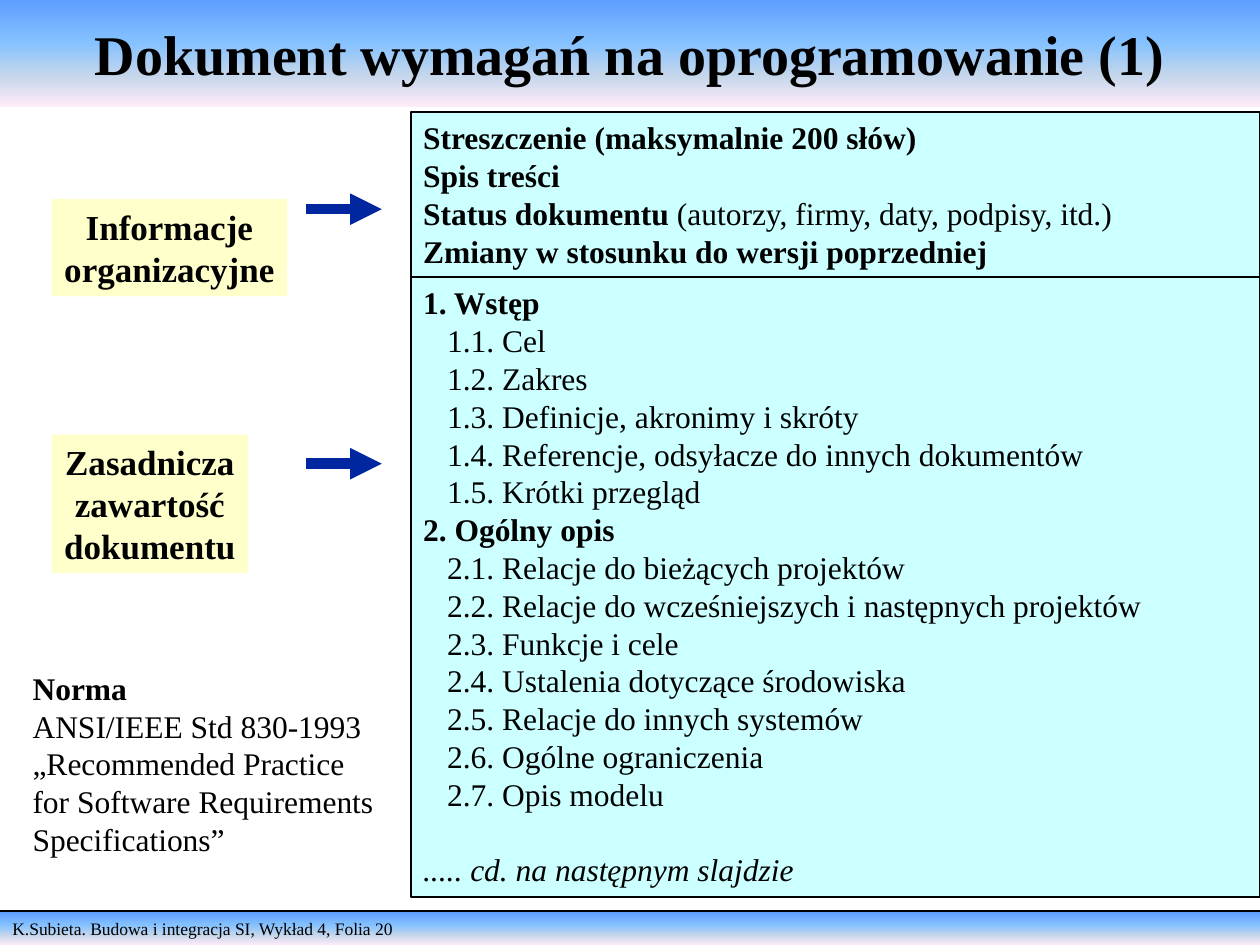
from lxml.etree import SubElement
from pptx import Presentation
from pptx.dml.color import RGBColor
from pptx.enum.shapes import MSO_CONNECTOR, MSO_SHAPE
from pptx.enum.text import MSO_ANCHOR, PP_ALIGN
from pptx.oxml.ns import qn
from pptx.util import Inches, Pt

FONT = "Times New Roman"
COLORS = {"text": "000000", "panel": "CCFFFF", "label": "FFFFCC", "arrow": "00279F"}
GRADIENT = [(0, "5E9EFF"), (40, "85C2FF"), (70, "C4D6EB"), (100, "FFEBFA")]

TITLE = "Dokument wymagań na oprogramowanie (1)"
FOOTER = "K.Subieta. Budowa i integracja SI, Wykład 4, Folia 20"
SUMMARY = [
    ("bold", "Streszczenie (maksymalnie 200 słów)"),
    ("bold", "Spis treści"),
    ("bold", "Status dokumentu ", "(autorzy, firmy, daty, podpisy, itd.)"),
    ("bold", "Zmiany w stosunku do wersji poprzedniej"),
]
CONTENTS = [
    ("bold", "1. Wstęp"),
    ("item", "1.1. Cel"),
    ("item", "1.2. Zakres"),
    ("item", "1.3. Definicje, akronimy i skróty"),
    ("item", "1.4. Referencje, odsyłacze do innych dokumentów"),
    ("item", "1.5. Krótki przegląd"),
    ("bold", "2. Ogólny opis"),
    ("item", "2.1. Relacje do bieżących projektów"),
    ("item", "2.2. Relacje do wcześniejszych i następnych projektów"),
    ("item", "2.3. Funkcje i cele"),
    ("item", "2.4. Ustalenia dotyczące środowiska"),
    ("item", "2.5. Relacje do innych systemów"),
    ("item", "2.6. Ogólne ograniczenia"),
    ("item", "2.7. Opis modelu"),
    ("closing", "..... cd. na następnym slajdzie"),
]
STANDARD = [
    ("bold", "Norma"),
    ("plain", "ANSI/IEEE Std 830-1993"),
    ("plain", "„Recommended Practice for Software Requirements Specifications”"),
]
PANELS = [(0.89, 1.32, SUMMARY), (2.2, 4.92, CONTENTS)]
LABELS = [
    (1.58, 1.87, 0.77, ["Informacje", "organizacyjne"]),
    (3.45, 1.56, 1.1, ["Zasadnicza", "zawartość", "dokumentu"]),
]
ARROW_HEIGHTS = [1.66, 3.68]


def color(name):
    return RGBColor.from_string(COLORS[name])


def write(shape, lines, size, align=PP_ALIGN.LEFT, anchor=MSO_ANCHOR.TOP, wrap=True):
    frame = shape.text_frame
    frame.word_wrap = wrap
    frame.vertical_anchor = anchor
    for index, (style, *parts) in enumerate(lines):
        paragraph = frame.paragraphs[0] if index == 0 else frame.add_paragraph()
        paragraph.alignment = align
        font = paragraph.font
        font.name, font.size = FONT, Pt(size)
        font.color.rgb = color("text")
        font.bold = style == "bold"
        font.italic = style == "closing"
        if style == "item":
            paragraph._p.get_or_add_pPr().set("marL", str(Inches(0.19)))
        if style == "closing":
            paragraph.space_before = Pt(size * 1.2)
        for position, part in enumerate(parts):
            run = paragraph.add_run()
            run.text = part
            if position:
                run.font.bold = False


def add_box(slide, left, top, width, height, fill=None, outlined=False):
    box = slide.shapes.add_shape(
        MSO_SHAPE.RECTANGLE, Inches(left), Inches(top), Inches(width), Inches(height))
    box.shadow.inherit = False
    if fill:
        box.fill.solid()
        box.fill.fore_color.rgb = color(fill)
    if outlined:
        box.line.color.rgb = color("text")
        box.line.width = Pt(1)
    else:
        box.line.fill.background()
    return box


def add_band(slide, top, height):
    band = add_box(slide, 0, top, 10, height)
    band.fill.gradient()
    band.fill.gradient_angle = 270
    stops = band._element.spPr.find(qn("a:gradFill")).find(qn("a:gsLst"))
    for stop in list(stops):
        stops.remove(stop)
    for percent, value in GRADIENT:
        stop = SubElement(stops, qn("a:gs"), pos=str(percent * 1000))
        SubElement(stop, qn("a:srgbClr"), val=value)
    return band


def add_line(slide, left, right, height, name, width):
    line = slide.shapes.add_connector(
        MSO_CONNECTOR.STRAIGHT, Inches(left), Inches(height), Inches(right), Inches(height))
    line.line.color.rgb = color(name)
    line.line.width = Pt(width)
    SubElement(line._element.spPr, qn("a:effectLst"))
    return line


def main():
    presentation = Presentation()
    presentation.slide_width, presentation.slide_height = Inches(10), Inches(7.5)
    slide = presentation.slides.add_slide(presentation.slide_layouts[6])

    write(add_band(slide, 7.24, 0.26), [("plain", FOOTER)], 10)
    add_line(slide, 0, 10, 7.23, "text", 1)
    write(add_band(slide, 0, 0.85), [("bold", TITLE)], 32,
          PP_ALIGN.CENTER, MSO_ANCHOR.MIDDLE)

    for top, height, lines in PANELS:
        write(add_box(slide, 3.26, top, 6.74, height, "panel", True), lines, 18)

    for top, width, height, words in LABELS:
        label = add_box(slide, 0.41, top, width, height, "label")
        write(label, [("bold", word) for word in words], 20, PP_ALIGN.CENTER, wrap=False)

    for height in ARROW_HEIGHTS:
        arrow = add_line(slide, 2.43, 3.03, height, "arrow", 6)
        SubElement(arrow.line._get_or_add_ln(), qn("a:tailEnd"), type="triangle")

    standard = slide.shapes.add_textbox(Inches(0.16), Inches(5.26), Inches(3.01), Inches(1.6))
    write(standard, STANDARD, 18)

    presentation.save("out.pptx")


if __name__ == "__main__":
    main()
